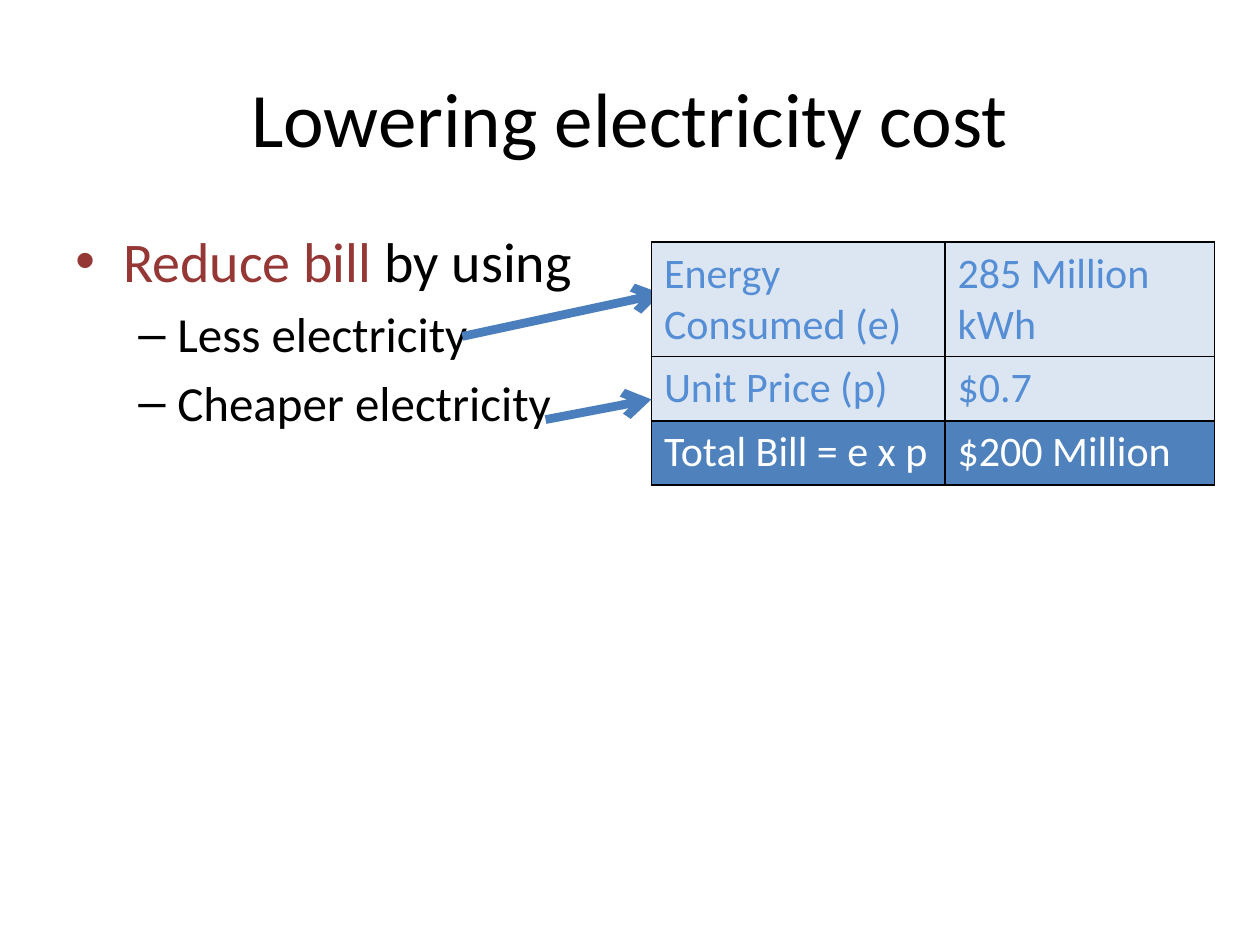
from dataclasses import dataclass

from lxml import etree
from pptx import Presentation
from pptx.dml.color import RGBColor
from pptx.enum.shapes import MSO_CONNECTOR
from pptx.enum.text import MSO_ANCHOR, PP_ALIGN
from pptx.oxml.ns import qn
from pptx.util import Inches, Pt

STRAIGHT = MSO_CONNECTOR.STRAIGHT
MIDDLE = MSO_ANCHOR.MIDDLE
TOP = MSO_ANCHOR.TOP
CENTER = PP_ALIGN.CENTER


@dataclass(frozen=True)
class Theme:
    """Colours, font and type sizes of the slide."""
    font: str = "Calibri"
    ink: str = "000000"
    accent: str = "953735"
    arrow: str = "4B7EBC"
    cell_ink: str = "558ED5"
    cell_fill: str = "DCE6F2"
    total_ink: str = "FFFFFF"
    total_fill: str = "4F81BD"
    title_size: int = 44
    bullet_sizes: tuple = (32, 28)
    cell_size: int = 24
    arrow_width: int = 5
    border_width: int = 1


class SlideBuilder:
    """Holds the theme and the current page, and draws each kind of element."""

    def __init__(self, page, theme):
        """Keep the page and theme for the drawing methods."""
        self.page = page
        self.theme = theme

    def set_font(self, font, size, color):
        """Apply the theme font with a size and colour."""
        font.name = self.theme.font
        font.size = Pt(size)
        font.color.rgb = RGBColor.from_string(color)

    def text_box(self, left, top, width, height, anchor):
        """Add a wrapping text box and return its text frame."""
        box = self.page.shapes.add_textbox(
            Inches(left), Inches(top), Inches(width), Inches(height))
        frame = box.text_frame
        frame.word_wrap = True
        frame.vertical_anchor = anchor
        return frame

    def title(self, text, left, top, width, height):
        """Add the centred title."""
        para = self.text_box(left, top, width, height, MIDDLE).paragraphs[0]
        para.text = text
        para.alignment = CENTER
        self.set_font(para.font, self.theme.title_size, self.theme.ink)

    def bullets(self, items, left, top, width, height):
        """Add a bulleted list of (level, [(text, colour), ...]) items."""
        frame = self.text_box(left, top, width, height, TOP)
        for index, (level, spans) in enumerate(items):
            para = frame.add_paragraph() if index else frame.paragraphs[0]
            size = self.theme.bullet_sizes[level]
            margin, indent, mark = ((0.38, -0.38, "•"), (0.81, -0.31, "–"))[level]
            para.level = level
            properties = para._p.get_or_add_pPr()
            properties.set("marL", str(Inches(margin)))
            properties.set("indent", str(Inches(indent)))
            etree.SubElement(properties, qn("a:buFont")).set("typeface", "Arial")
            etree.SubElement(properties, qn("a:buChar")).set("char", mark)
            para.space_before = Pt(size * 0.2)
            self.set_font(para.font, size, spans[0][1])
            for text, color in spans:
                span = para.add_run()
                span.text = text
                if color != spans[0][1]:
                    span.font.color.rgb = RGBColor.from_string(color)

    def arrow(self, start, end):
        """Add a straight arrow between two points."""
        line = self.page.shapes.add_connector(
            STRAIGHT, *(Inches(value) for value in (*start, *end)))
        line.line.color.rgb = RGBColor.from_string(self.theme.arrow)
        line.line.width = Pt(self.theme.arrow_width)
        etree.SubElement(line.line._get_or_add_ln(), qn("a:tailEnd")).set("type", "arrow")
        etree.SubElement(line._element.spPr, qn("a:effectLst"))

    def border(self, cell):
        """Draw the four borders of a table cell."""
        properties = cell._tc.get_or_add_tcPr()
        for position, side in enumerate(("a:lnL", "a:lnR", "a:lnT", "a:lnB")):
            edge = etree.Element(qn(side), w=str(Pt(self.theme.border_width)))
            fill = etree.SubElement(edge, qn("a:solidFill"))
            etree.SubElement(fill, qn("a:srgbClr")).set("val", self.theme.ink)
            properties.insert(position, edge)

    def table(self, rows, left, top, widths, heights):
        """Add a table whose last row is the highlighted total."""
        table = self.page.shapes.add_table(
            len(rows), len(widths), Inches(left), Inches(top),
            Inches(sum(widths)), Inches(sum(heights))).table
        for column, width in zip(table.columns, widths):
            column.width = Inches(width)
        for index, (row, height, texts) in enumerate(zip(table.rows, heights, rows)):
            row.height = Inches(height)
            is_total = index == len(rows) - 1
            ink = self.theme.total_ink if is_total else self.theme.cell_ink
            fill = self.theme.total_fill if is_total else self.theme.cell_fill
            for cell, text in zip(row.cells, texts):
                cell.text = text
                cell.fill.solid()
                cell.fill.fore_color.rgb = RGBColor.from_string(fill)
                para = cell.text_frame.paragraphs[0]
                self.set_font(para.font, self.theme.cell_size, ink)
                para.font.bold = False
                self.border(cell)


def main():
    """Build the slide and save the deck."""
    deck = Presentation()
    deck.slide_width, deck.slide_height = Inches(10), Inches(7.5)
    theme = Theme()
    builder = SlideBuilder(deck.slides.add_slide(deck.slide_layouts[6]), theme)

    builder.title("Lowering electricity cost", 0.5, 0.3, 9, 1.25)
    builder.bullets([
        (0, [("Reduce bill", theme.accent), (" by using", theme.ink)]),
        (1, [("Less electricity", theme.ink)]),
        (1, [("Cheaper electricity", theme.ink)]),
    ], 0.5, 1.75, 9, 4.95)
    builder.arrow((3.67, 2.67), (5.25, 2.33))
    builder.table([
        ("Energy Consumed (e)", "285 Million kWh"),
        ("Unit Price (p)", "$0.7"),
        ("Total Bill = e x p", "$200 Million"),
    ], 5.17, 1.92, (2.33, 2.14), (0.91, 0.51, 0.51))
    builder.arrow((4.33, 3.33), (5.17, 3.17))
    deck.save("out.pptx")


if __name__ == "__main__":
    main()
